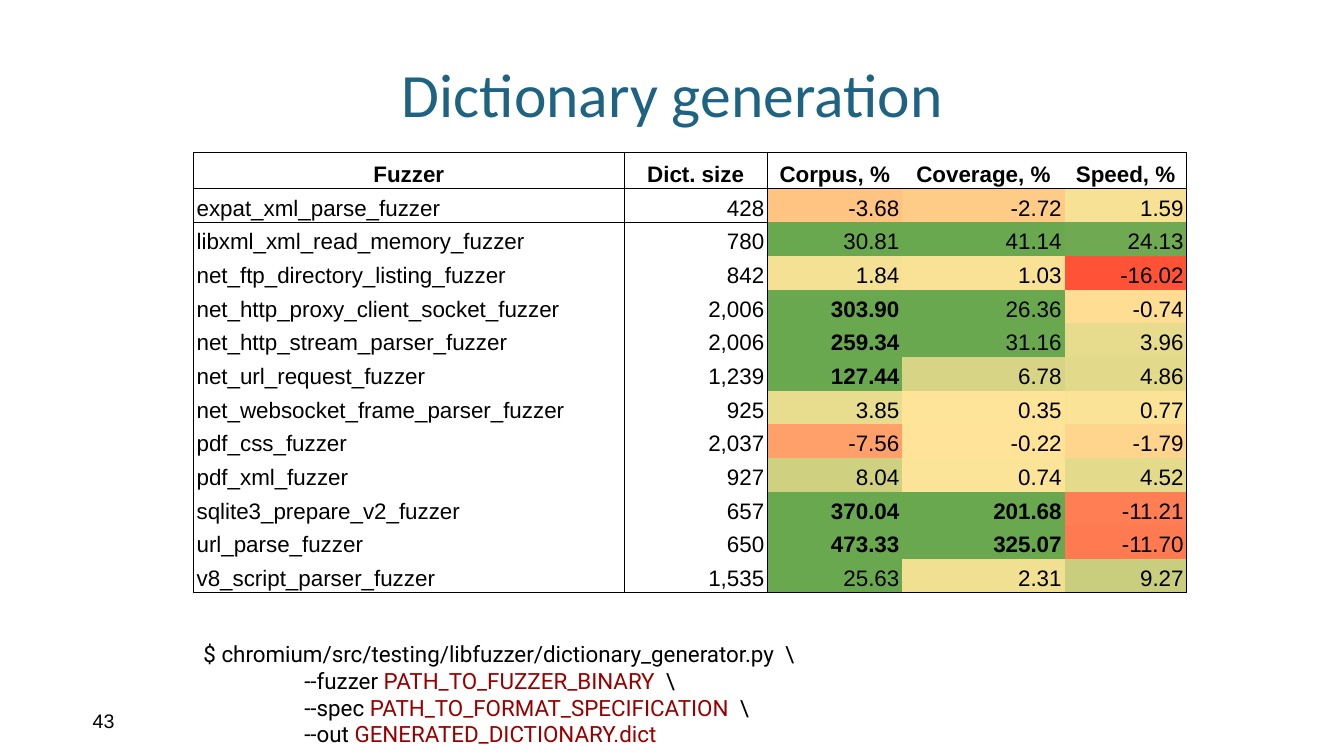
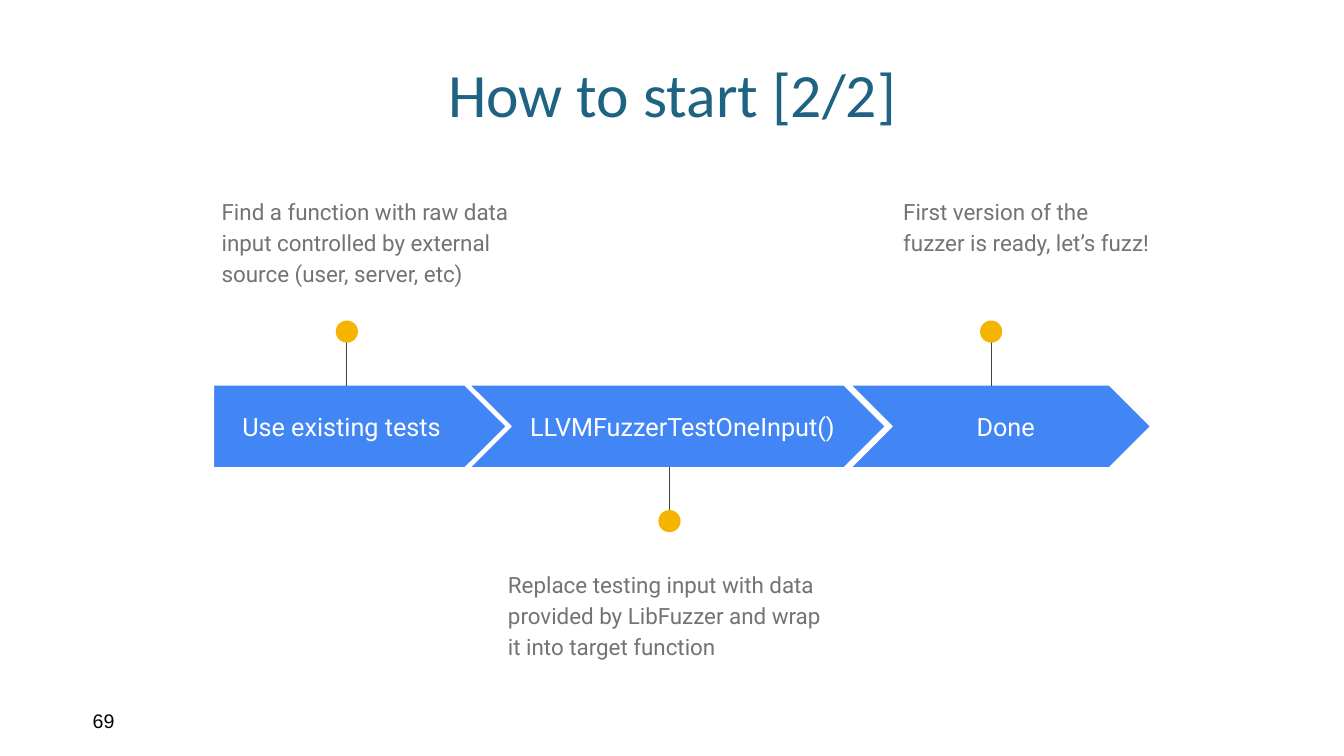
from lxml.etree import SubElement
from pptx import Presentation
from pptx.dml.color import RGBColor
from pptx.enum.shapes import MSO_CONNECTOR, MSO_SHAPE
from pptx.enum.text import MSO_ANCHOR, PP_ALIGN
from pptx.oxml.ns import qn
from pptx.util import Inches, Pt

BLACK, WHITE, TITLE = "000000", "FFFFFF", "1F6383"
ARGUMENT, NOTE = "980000", "737373"
BLUE, AMBER, STEM = "4285F4", "F4B400", "424242"
LOW, MIDDLE, HIGH = "FF0000", "FFE599", "6AA84F"
SCALE_LIMIT, BOLD_ABOVE = 25, 100

HEADERS = ["Fuzzer", "Dict. size", "Corpus, %", "Coverage, %", "Speed, %"]
RESULTS = [
    ("expat_xml_parse_fuzzer", 428, -3.68, -2.72, 1.59),
    ("libxml_xml_read_memory_fuzzer", 780, 30.81, 41.14, 24.13),
    ("net_ftp_directory_listing_fuzzer", 842, 1.84, 1.03, -16.02),
    ("net_http_proxy_client_socket_fuzzer", 2006, 303.90, 26.36, -0.74),
    ("net_http_stream_parser_fuzzer", 2006, 259.34, 31.16, 3.96),
    ("net_url_request_fuzzer", 1239, 127.44, 6.78, 4.86),
    ("net_websocket_frame_parser_fuzzer", 925, 3.85, 0.35, 0.77),
    ("pdf_css_fuzzer", 2037, -7.56, -0.22, -1.79),
    ("pdf_xml_fuzzer", 927, 8.04, 0.74, 4.52),
    ("sqlite3_prepare_v2_fuzzer", 657, 370.04, 201.68, -11.21),
    ("url_parse_fuzzer", 650, 473.33, 325.07, -11.70),
    ("v8_script_parser_fuzzer", 1535, 25.63, 2.31, 9.27),
]
COMMAND = [
    [("$ chromium/src/testing/libfuzzer/dictionary_generator.py  \\", BLACK)],
    [("--fuzzer ", BLACK), ("PATH_TO_FUZZER_BINARY", ARGUMENT), ("  \\", BLACK)],
    [("--spec ", BLACK), ("PATH_TO_FORMAT_SPECIFICATION", ARGUMENT), ("  \\", BLACK)],
    [("--out ", BLACK), ("GENERATED_DICTIONARY.dict", ARGUMENT)],
]


def rgb(color):
    return RGBColor.from_string(color)


def scale_color(value):
    """Red at the lower limit, yellow at zero, green at the upper limit."""
    share = min(abs(value) / SCALE_LIMIT, 1)
    start, end = rgb(MIDDLE), rgb(HIGH if value > 0 else LOW)
    return "".join(f"{round(a + (b - a) * share):02X}" for a, b in zip(start, end))


def set_borders(cell, sides):
    """Draw the sides whose value is true; clear the others."""
    tcPr = cell._tc.get_or_add_tcPr()
    for position, (tag, drawn) in enumerate(zip(("lnL", "lnR", "lnT", "lnB"), sides)):
        ln = tcPr.makeelement(qn(f"a:{tag}"), {"w": str(Pt(0.75))})
        tcPr.insert(position, ln)
        if drawn:
            fill = SubElement(ln, qn("a:solidFill"))
            SubElement(fill, qn("a:srgbClr"), val=BLACK)
        else:
            SubElement(ln, qn("a:noFill"))


class Deck:
    def __init__(self):
        self.prs = Presentation()
        self.prs.slide_width, self.prs.slide_height = Inches(13.33), Inches(7.5)
        self.s = None

    def slide(self, title, number):
        self.s = self.prs.slides.add_slide(self.prs.slide_layouts[6])
        p = self.text(title, 0.92, 0.64, 11.5, 1.21, "Calibri", 44, TITLE,
                      margins=(0.1, 0, 0.1, 0.05))
        p.alignment, p.line_spacing = PP_ALIGN.CENTER, 0.9
        self.text(str(number), 0.92, 6.95, 3, 0.4, "Arial", 14, BLACK,
                  margins=(0, 0.05, 0.1, 0.05), anchor=MSO_ANCHOR.MIDDLE)

    def style(self, p, font, size, color, bold=False):
        p.font.name, p.font.size, p.font.bold = font, Pt(size), bold
        p.font.color.rgb = rgb(color)

    def frame(self, tf, margins, anchor):
        tf.word_wrap, tf.vertical_anchor = True, anchor
        tf.margin_left, tf.margin_top, tf.margin_right, tf.margin_bottom = map(Inches, margins)

    def text(self, text, left, top, width, height, font, size, color,
             margins=(0.1, 0.1, 0.1, 0.1), anchor=MSO_ANCHOR.TOP):
        box = self.s.shapes.add_textbox(*map(Inches, (left, top, width, height)))
        self.frame(box.text_frame, margins, anchor)
        p = box.text_frame.paragraphs[0]
        p.text = text
        self.style(p, font, size, color)
        return p

    def command(self, lines, left, top, width, height):
        """Command line whose continuation lines are indented."""
        box = self.s.shapes.add_textbox(*map(Inches, (left, top, width, height)))
        tf = box.text_frame
        self.frame(tf, (0.1, 0.05, 0.1, 0.05), MSO_ANCHOR.TOP)
        for i, runs in enumerate(lines):
            p = tf.add_paragraph() if i else tf.paragraphs[0]
            if i:
                p._p.get_or_add_pPr().set("marL", str(Inches(1)))
            self.style(p, "Roboto", 16, BLACK)
            for text, color in runs:
                r = p.add_run()
                r.text = text
                r.font.color.rgb = rgb(color)

    def cell(self, cell, text, align, bold, fill):
        cell.margin_left = cell.margin_right = Inches(0.03)
        cell.margin_top = cell.margin_bottom = Pt(1)
        cell.vertical_anchor = MSO_ANCHOR.BOTTOM
        cell.fill.solid()
        cell.fill.fore_color.rgb = rgb(fill)
        p = cell.text_frame.paragraphs[0]
        p.text, p.alignment, p.line_spacing = text, align, 1.15
        self.style(p, "Arial", 16, BLACK, bold)

    def results_table(self, left, top, widths, header_height, body_height):
        last = len(RESULTS)
        table = self.s.shapes.add_table(
            last + 1, len(widths), Inches(left), Inches(top),
            Inches(sum(widths)), Inches(header_height + body_height)).table
        table.first_row = table.horz_banding = False
        for column, width in zip(table.columns, widths):
            column.width = Inches(width)
        for i, row in enumerate(table.rows):
            row.height = Inches(body_height / last if i else header_height)
            for j, cell in enumerate(row.cells):
                if i == 0:
                    self.cell(cell, HEADERS[j], PP_ALIGN.CENTER, True, WHITE)
                else:
                    value = RESULTS[i - 1][j]
                    if j == 0:
                        self.cell(cell, value, PP_ALIGN.LEFT, False, WHITE)
                    elif j == 1:
                        self.cell(cell, f"{value:,}", PP_ALIGN.RIGHT, False, WHITE)
                    else:
                        self.cell(cell, f"{value:.2f}", PP_ALIGN.RIGHT,
                                  value > BOLD_ABOVE, scale_color(value))
                ruled_rows = {0, 1, last + 1} | ({2} if j < 2 else set())
                ruled_columns = {0, 1, 2, len(widths)}
                set_borders(cell, (j in ruled_columns, j + 1 in ruled_columns,
                                   i in ruled_rows, i + 1 in ruled_rows))

    def shape(self, kind, left, top, width, height, fill, line=None):
        sp = self.s.shapes.add_shape(kind, *map(Inches, (left, top, width, height)))
        sp.shadow.inherit = False
        sp.fill.solid()
        sp.fill.fore_color.rgb = rgb(fill)
        if line:
            sp.line.color.rgb, sp.line.width = rgb(line), Pt(0.75)
        else:
            sp.line.fill.background()
        return sp

    def step(self, kind, left, width, label, pad_left, pad_right):
        sp = self.shape(kind, left, 3.82, width, 0.82, BLUE, WHITE)
        self.frame(sp.text_frame, (pad_left, 0, pad_right, 0), MSO_ANCHOR.MIDDLE)
        p = sp.text_frame.paragraphs[0]
        p.text, p.alignment = label, PP_ALIGN.CENTER
        self.style(p, "Roboto", 18, WHITE)

    def pin(self, x, edge, dot_y):
        """Stem from the edge of a step to a round head centred on dot_y."""
        stem = self.s.shapes.add_connector(
            MSO_CONNECTOR.STRAIGHT, *map(Inches, (x, dot_y, x, edge)))
        stem.line.color.rgb, stem.line.width = rgb(STEM), Pt(0.75)
        SubElement(stem._element.spPr, qn("a:effectLst"))
        self.shape(MSO_SHAPE.OVAL, x - 0.11, dot_y - 0.11, 0.22, 0.22, AMBER)

    def note(self, text, left, top, width):
        p = self.text(text, left, top, width, 0.99, "Roboto", 16, NOTE)
        p.line_spacing, p.space_after = 1.15, Pt(16)


def main():
    deck = Deck()

    deck.slide("Dictionary generation", 43)
    deck.command(COMMAND, 1.92, 6.3, 11, 1.2)
    deck.results_table(1.92, 1.51, [4.27, 1.42, 1.34, 1.61, 1.21], 0.36, 3.9)

    deck.slide("How to start [2/2]", 69)
    deck.step(MSO_SHAPE.PENTAGON, 2.12, 2.9, "Use existing tests", 0, 0.16)
    deck.step(MSO_SHAPE.CHEVRON, 4.66, 4.12, "LLVMFuzzerTestOneInput()", 0.1, 0)
    deck.step(MSO_SHAPE.CHEVRON, 8.44, 2.97, "Done", 0.1, 0)
    for x, edge, dot_y in ((3.44, 3.83, 3.29), (6.64, 4.63, 5.17), (9.83, 3.83, 3.29)):
        deck.pin(x, edge, dot_y)
    deck.note("Find a function with raw data input controlled by external "
              "source (user, server, etc)", 2.1, 1.83, 3.08)
    deck.note("Replace testing input with data provided by LibFuzzer and wrap "
              "it into target function", 4.94, 5.53, 3.4)
    deck.note("First version of the fuzzer is ready, let’s fuzz!", 8.86, 1.83, 2.65)

    deck.prs.save("out.pptx")


if __name__ == "__main__":
    main()
